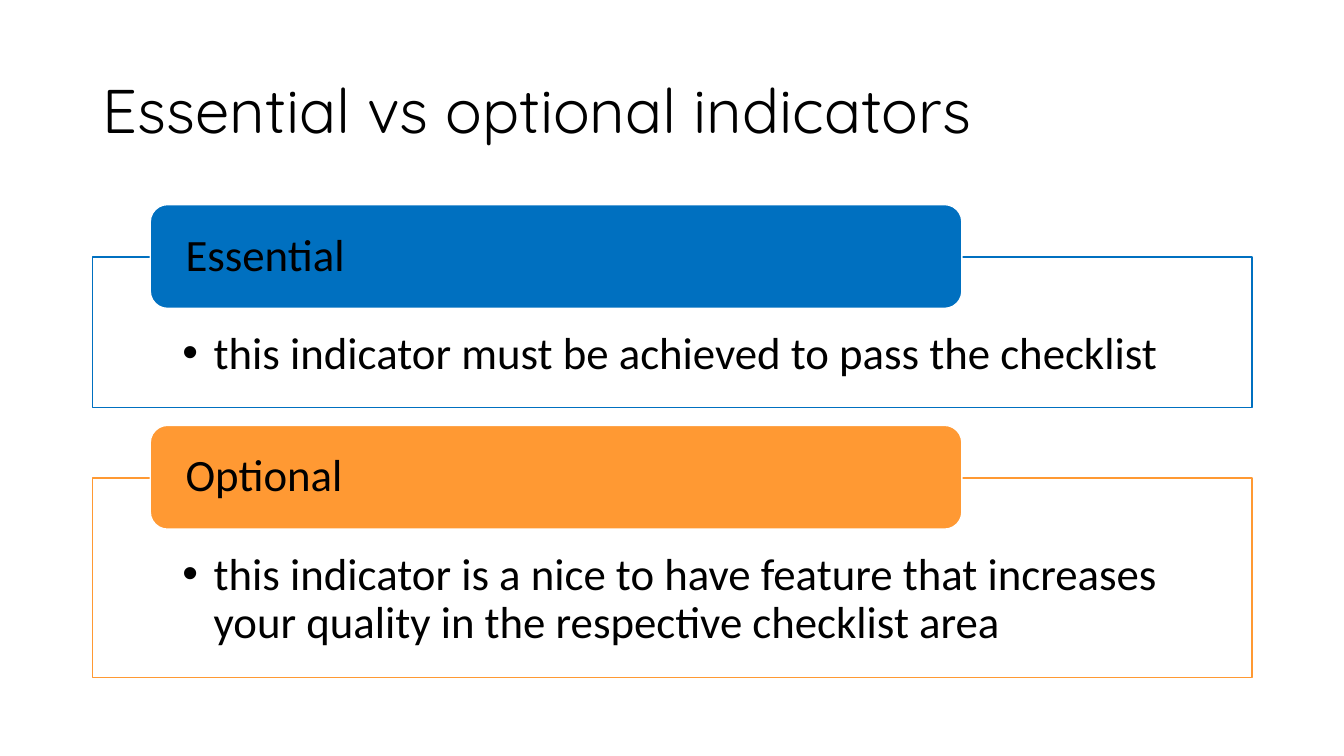
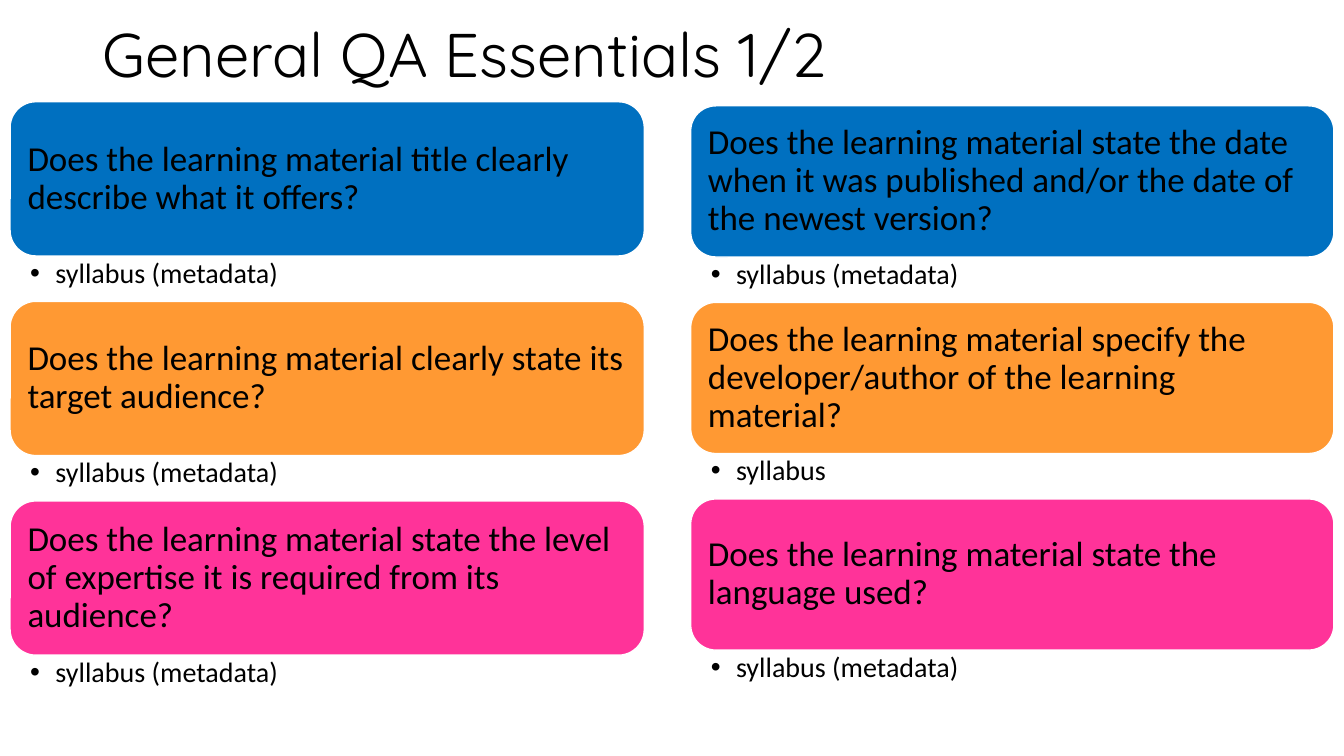
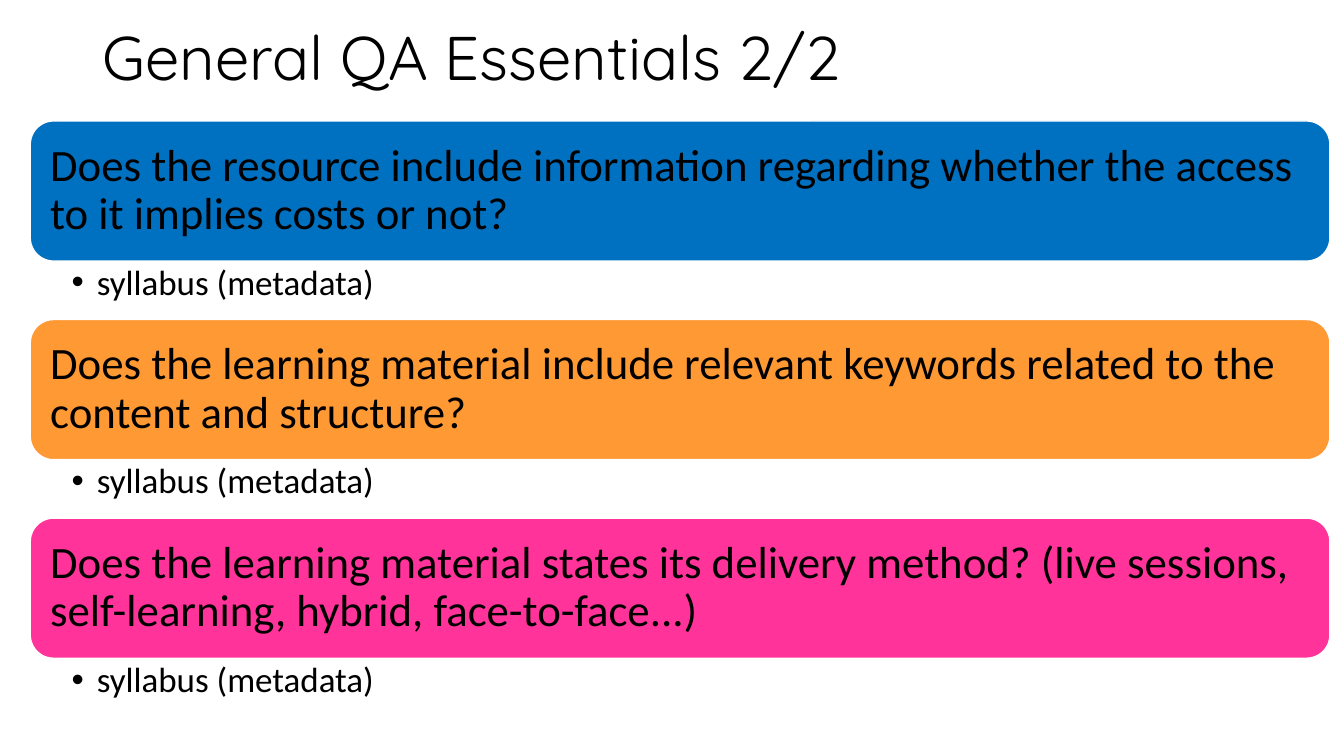
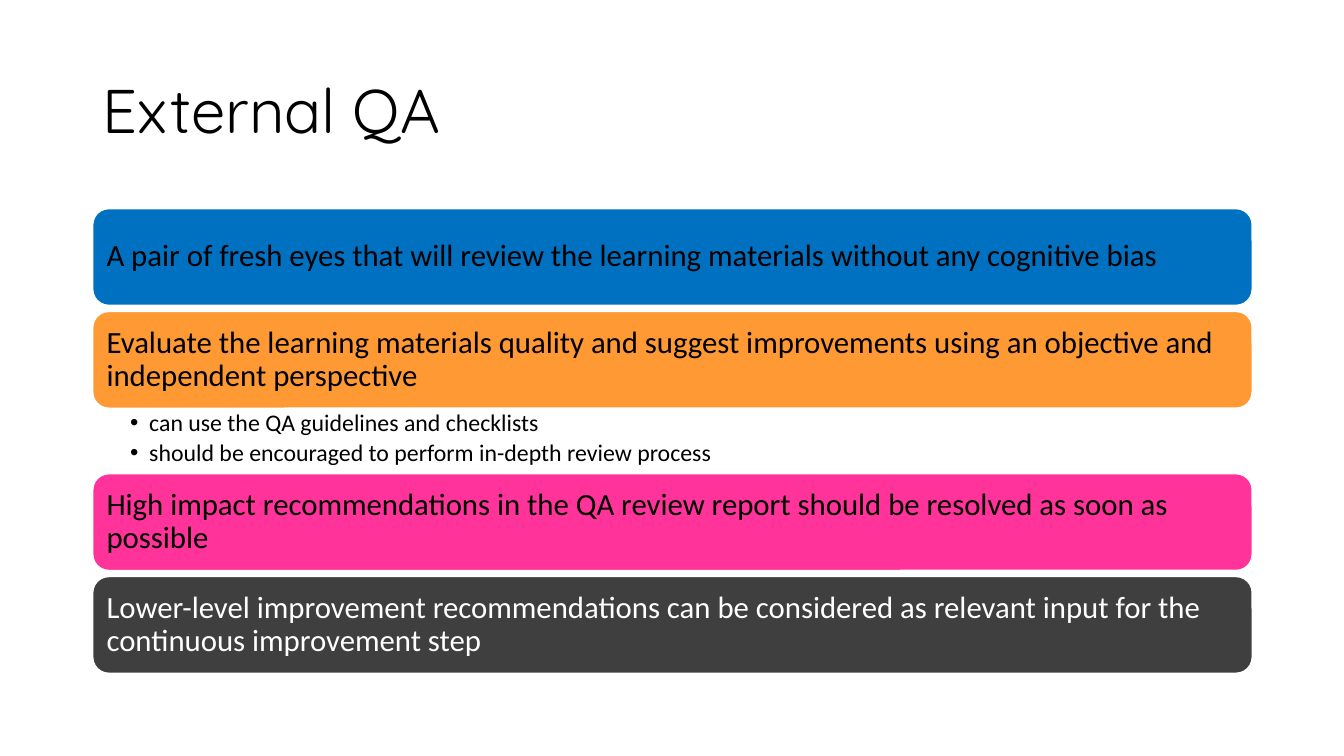
from dataclasses import dataclass

from lxml.etree import SubElement
from pptx import Presentation
from pptx.dml.color import RGBColor
from pptx.enum.shapes import MSO_SHAPE as Shape
from pptx.enum.text import MSO_ANCHOR as Anchor, MSO_AUTO_SIZE as AutoSize, PP_ALIGN as Align
from pptx.oxml.ns import qn
from pptx.util import Emu, Pt


@dataclass(frozen=True)
class Theme:
    title_font: str = "Quicksand"
    body_font: str = "Calibri"
    black: str = "000000"
    white: str = "FFFFFF"
    fills: tuple = ("0070C0", "FF9933", "FF3399", "3F3F3F")
    title_size: int = 44
    large: int = 32
    medium: int = 25
    compact: int = 22
    small: int = 20
    tiny: int = 17
    line_spacing: float = 0.9
    line_width: int = 1


THEME = Theme()
EMU_PER_PX = 9144
SLIDE_SIZE = (1333, 750)
MARGIN, CONTENT_WIDTH = 92, 1150
TITLE_HEIGHT = 145
METADATA = ["syllabus (metadata)"]

INDICATORS = [
    ("Essential", "this indicator must be achieved to pass the checklist", 149),
    ("Optional", "this indicator is a nice to have feature that increases your quality "
     "in the respective checklist area", 198),
]
FRAMES = dict(top=255, gap=70, insets=(89, 73, 89, 25), indent=31)
TAB = dict(left=57, rise=52, width=805, height=103, insets=(30, 0, 30, 0))

TWO_COLUMN_STYLE = dict(size=THEME.medium, note_size=THEME.small, pad=10, gap=0,
                        note_height=45, note_insets=(20, 3, 19, 3), indent=25)
WIDE_STYLE = dict(size=THEME.large, note_size=THEME.medium, pad=13, gap=0,
                  note_height=58, note_insets=(41, 4, 25, 4), indent=25)
COMPACT_STYLE = dict(size=THEME.compact, note_size=THEME.tiny, pad=9, gap=6,
                     note_height=65, note_insets=(37, 3, 17, 3), indent=19)

BAR_SLIDES = [
    ("General QA Essentials 1/2", -15, TWO_COLUMN_STYLE, [
        (dict(left=10, top=101, width=629, height=153), [
            ("Does the learning material title clearly describe what it offers?", METADATA),
            ("Does the learning material clearly state its target audience?", METADATA),
            ("Does the learning material state the level of expertise it is required "
             "from its audience?", METADATA),
        ]),
        (dict(left=685, top=105, width=638, height=150), [
            ("Does the learning material state the date when it was published and/or "
             "the date of the newest version?", METADATA),
            ("Does the learning material specify the developer/author of the learning "
             "material?", ["syllabus"]),
            ("Does the learning material state the language used?", METADATA),
        ]),
    ]),
    ("General QA Essentials 2/2", -12, WIDE_STYLE, [
        (dict(left=30, top=120, width=1289, height=139), [
            ("Does the resource include information regarding whether the access to it "
             "implies costs or not?", METADATA),
            ("Does the learning material include relevant keywords related to the "
             "content and structure?", METADATA),
            ("Does the learning material states its delivery method? (live sessions, "
             "self-learning, hybrid, face-to-face...)", METADATA),
        ]),
    ]),
    ("External QA", 40, COMPACT_STYLE, [
        (dict(left=MARGIN, top=207, width=CONTENT_WIDTH, height=96), [
            ("A pair of fresh eyes that will review the learning materials without any "
             "cognitive bias", []),
            ("Evaluate the learning materials quality and suggest improvements using an "
             "objective and independent perspective",
             ["can use the QA guidelines and checklists",
              "should be encouraged to perform in-depth review process"]),
            ("High impact recommendations in the QA review report should be resolved as "
             "soon as possible", []),
            ("Lower-level improvement recommendations can be considered as relevant "
             "input for the continuous improvement step", []),
        ]),
    ]),
]


def px(length):
    return Emu(length * EMU_PER_PX)


def rgb(colour):
    return RGBColor.from_string(colour)


def add_bullet(para, indent):
    properties = para._p.get_or_add_pPr()
    properties.set("marL", str(px(indent)))
    properties.set("indent", str(-px(indent)))
    SubElement(properties, qn("a:buFont")).set("typeface", "Arial")
    SubElement(properties, qn("a:buChar")).set("char", "•")


def write(box, lines, size, insets, colour=THEME.black, font=THEME.body_font,
          anchor=Anchor.MIDDLE, indent=0):
    frame = box.text_frame
    frame.word_wrap = True
    frame.auto_size = AutoSize.NONE
    frame.vertical_anchor = anchor
    frame.margin_left, frame.margin_top, frame.margin_right, frame.margin_bottom = map(px, insets)
    for index, line in enumerate(lines):
        para = frame.paragraphs[0] if index == 0 else frame.add_paragraph()
        if indent:
            add_bullet(para, indent)
        para.alignment = Align.LEFT
        para.line_spacing = THEME.line_spacing
        if index < len(lines) - 1:
            para.space_after = Pt(3)
        span = para.add_run()
        span.text = line
        span.font.name = font
        span.font.size = Pt(size)
        span.font.color.rgb = rgb(colour)


def add_text(page, place, lines, size, insets, **style):
    write(page.shapes.add_textbox(*map(px, place)), lines, size, insets, **style)


def add_block(page, kind, place, fill, line):
    block = page.shapes.add_shape(kind, *map(px, place))
    block.shadow.inherit = False
    block.fill.solid()
    block.fill.fore_color.rgb = rgb(fill)
    block.line.color.rgb = rgb(line)
    block.line.width = Pt(THEME.line_width)
    return block


def add_bar(page, place, text, fill, size, insets):
    bar = add_block(page, Shape.ROUNDED_RECTANGLE, place, fill, THEME.white)
    colour = THEME.white if fill == THEME.fills[-1] else THEME.black
    write(bar, [text], size, insets, colour=colour)


def add_page(deck, title, title_top):
    page = deck.slides.add_slide(deck.slide_layouts[6])
    add_text(page, (MARGIN, title_top, CONTENT_WIDTH, TITLE_HEIGHT), [title],
             THEME.title_size, (10, 5, 10, 5), font=THEME.title_font)
    return page


def add_indicators(page):
    top = FRAMES["top"]
    for (name, meaning, height), fill in zip(INDICATORS, THEME.fills):
        frame = add_block(page, Shape.RECTANGLE, (MARGIN, top, CONTENT_WIDTH, height),
                          THEME.white, fill)
        write(frame, [meaning], THEME.large, FRAMES["insets"],
              anchor=Anchor.TOP, indent=FRAMES["indent"])
        place = (MARGIN + TAB["left"], top - TAB["rise"], TAB["width"], TAB["height"])
        add_bar(page, place, name, fill, THEME.large, TAB["insets"])
        top += height + FRAMES["gap"]


def add_bar_column(page, column, items, style):
    left, top, width, height = (column[key] for key in ("left", "top", "width", "height"))
    for (text, notes), fill in zip(items, THEME.fills):
        add_bar(page, (left, top, width, height), text, fill, style["size"], (style["pad"],) * 4)
        top += height
        if notes:
            add_text(page, (left, top, width, style["note_height"]), notes, style["note_size"],
                     style["note_insets"], anchor=Anchor.TOP, indent=style["indent"])
            top += style["note_height"]
        else:
            top += style["gap"]


def main():
    deck = Presentation()
    deck.slide_width, deck.slide_height = map(px, SLIDE_SIZE)
    add_indicators(add_page(deck, "Essential vs optional indicators", 40))
    for title, title_top, style, columns in BAR_SLIDES:
        page = add_page(deck, title, title_top)
        for column, items in columns:
            add_bar_column(page, column, items, style)
    deck.save("out.pptx")


if __name__ == "__main__":
    main()
